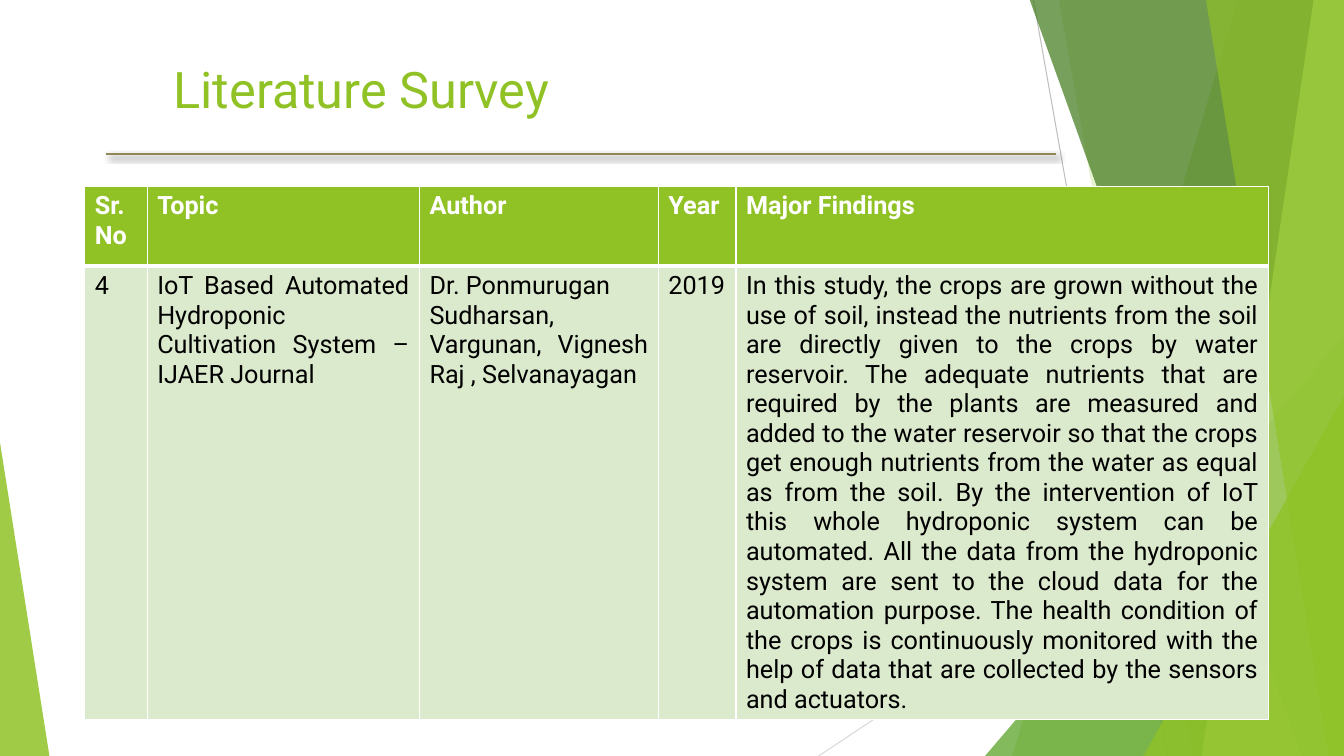
from dataclasses import dataclass

from lxml import etree
from pptx import Presentation
from pptx import util as u
from pptx.dml import color as dml
from pptx.enum import shapes, text
from pptx.oxml import ns

PX = 9144


@dataclass(frozen=True)
class Theme:
    font: str = "Roboto"
    title_size: int = 36
    table_size: int = 18
    lime: str = "90C226"
    leaf: str = "54A021"
    forest: str = "3F7819"
    pale: str = "C0E474"
    mint: str = "DBE9CD"
    khaki: str = "918655"
    grey: str = "BFBFBF"
    light_grey: str = "D9D9D9"
    white: str = "FFFFFF"
    black: str = "000000"


@dataclass(frozen=True)
class Facet:
    points: tuple[tuple[int, int], ...]
    color: str
    opacity: int


@dataclass(frozen=True)
class Wedge:
    left: int
    top: int
    width: int
    height: int
    apex: int
    color: str
    opacity: int


@dataclass(frozen=True)
class Rule:
    start: tuple[int, int]
    end: tuple[int, int]
    color: str
    weight: float
    shadow: bool = False


@dataclass(frozen=True)
class Column:
    width: int
    heading: str
    entry: tuple[str, ...]


THEME = Theme()


def px(value: int) -> u.Emu:
    return u.Emu(value * PX)


def rgb(value: str) -> dml.RGBColor:
    return dml.RGBColor.from_string(value)


def child(parent, tag: str, **attributes):
    return etree.SubElement(parent, ns.qn(tag), {k: str(v) for k, v in attributes.items()})


def write(paragraph, content: str, *, size: int, color: str, bold: bool = False,
          align=text.PP_ALIGN.LEFT) -> None:
    paragraph.alignment = align
    run = paragraph.add_run()
    run.text = content
    run.font.name = THEME.font
    run.font.size = u.Pt(size)
    run.font.bold = bold
    run.font.color.rgb = rgb(color)


def paint(shape, color: str, opacity: int) -> None:
    shape.shadow.inherit = False
    shape.line.fill.background()
    shape.fill.solid()
    shape.fill.fore_color.rgb = rgb(color)
    swatch = shape.fill._xPr.find(".//" + ns.qn("a:srgbClr"))
    child(swatch, "a:alpha", val=opacity * 1000)


def draw_facet(slide, facet: Facet) -> None:
    builder = slide.shapes.build_freeform(*facet.points[0], scale=PX)
    builder.add_line_segments(facet.points[1:], close=True)
    paint(builder.convert_to_shape(), facet.color, facet.opacity)


def draw_wedge(slide, wedge: Wedge) -> None:
    triangle = slide.shapes.add_shape(
        shapes.MSO_SHAPE.ISOSCELES_TRIANGLE,
        px(wedge.left), px(wedge.top), px(wedge.width), px(wedge.height))
    triangle.adjustments[0] = wedge.apex
    paint(triangle, wedge.color, wedge.opacity)


def draw_rule(slide, rule: Rule) -> None:
    ends = [px(value) for value in rule.start + rule.end]
    connector = slide.shapes.add_connector(shapes.MSO_CONNECTOR.STRAIGHT, *ends)
    connector.line.color.rgb = rgb(rule.color)
    connector.line.width = u.Pt(rule.weight)
    effects = child(connector._element.spPr, "a:effectLst")
    if rule.shadow:
        outer = child(effects, "a:outerShdw", blurRad=u.Pt(4), dist=u.Pt(3),
                      dir=45 * 60000, algn="tl", rotWithShape=0)
        child(child(outer, "a:srgbClr", val=THEME.black), "a:alpha", val=40000)


def draw_title(slide, content: str) -> None:
    title = slide.shapes.title
    slide.shapes._spTree.append(title._element)
    title.left, title.top, title.width, title.height = map(px, (162, 53, 1096, 95))
    frame = title.text_frame
    frame.word_wrap = True
    frame.auto_size = text.MSO_AUTO_SIZE.NONE
    frame.vertical_anchor = text.MSO_ANCHOR.TOP
    write(frame.paragraphs[0], content, size=THEME.title_size, color=THEME.lime)


def format_cell(cell, lines: tuple[str, ...], header: bool) -> None:
    properties = cell._tc.get_or_add_tcPr()
    weights = {"L": 1, "R": 1, "T": 1 if header else 3, "B": 3 if header else 1}
    for side, weight in weights.items():
        border = child(properties, f"a:ln{side}", w=u.Pt(weight))
        child(child(border, "a:solidFill"), "a:srgbClr", val=THEME.white)
    cell.fill.solid()
    cell.fill.fore_color.rgb = rgb(THEME.lime if header else THEME.mint)
    for index, line in enumerate(lines):
        frame = cell.text_frame
        paragraph = frame.add_paragraph() if index else frame.paragraphs[0]
        write(paragraph, line, size=THEME.table_size, bold=header,
              color=THEME.white if header else THEME.black,
              align=text.PP_ALIGN.LEFT if header else text.PP_ALIGN.JUSTIFY)


def draw_survey(slide, columns: tuple[Column, ...]) -> None:
    row_heights = (79, 416)
    width = sum(column.width for column in columns)
    survey = slide.shapes.add_table(
        len(row_heights), len(columns), px(84), px(185), px(width), px(sum(row_heights))).table
    for row, height in zip(survey.rows, row_heights):
        row.height = px(height)
    for index, column in enumerate(columns):
        survey.columns[index].width = px(column.width)
        format_cell(survey.cell(0, index), (column.heading,), header=True)
        format_cell(survey.cell(1, index), column.entry, header=False)


GUIDES = (
    Rule((1025, 0), (1158, 750), THEME.grey, 0.75),
    Rule((1333, 403), (812, 750), THEME.light_grey, 0.75),
)
UNDERLINE = Rule((105, 153), (1047, 153), THEME.khaki, 1.5, shadow=True)


def edge_facet(top: int, bottom: int, color: str, opacity: int) -> Facet:
    return Facet(((top, -1), (1333, -1), (1333, 750), (bottom, 750)), color, opacity)


BACKDROP = (
    edge_facet(1228, 1004, THEME.lime, 30),
    edge_facet(1050, 1183, THEME.lime, 20),
    Wedge(977, 333, 356, 417, 1, THEME.leaf, 72),
    edge_facet(1021, 1291, THEME.forest, 70),
    edge_facet(1303, 1192, THEME.pale, 70),
    edge_facet(1196, 1318, THEME.lime, 65),
    Wedge(1134, 393, 199, 357, 1, THEME.lime, 80),
    Wedge(0, 439, 49, 311, 0, THEME.lime, 85),
)
COLUMNS = (
    Column(62, "Sr. No", ("4",)),
    Column(270, "Topic", (
        "IoT Based Automated Hydroponic Cultivation System – IJAER Journal",)),
    Column(237, "Author", (
        "Dr. Ponmurugan", "Sudharsan, Vargunan, Vignesh Raj , Selvanayagan")),
    Column(77, "Year", ("2019",)),
    Column(528, "Major Findings", (
        "In this study, the crops are grown without the use of soil, instead the nutrients "
        "from the soil are directly given to the crops by water reservoir. The adequate "
        "nutrients that are required by the plants are measured and added to the water "
        "reservoir so that the crops get enough nutrients from the water as equal as from "
        "the soil. By the intervention of IoT this whole hydroponic system can be automated. "
        "All the data from the hydroponic system are sent to the cloud data for the "
        "automation purpose. The health condition of the crops is continuously monitored "
        "with the help of data that are collected by the sensors and actuators.",)),
)


def main() -> None:
    deck = Presentation()
    deck.slide_width, deck.slide_height = px(1333), px(750)
    slide = deck.slides.add_slide(deck.slide_layouts[5])
    for guide in GUIDES:
        draw_rule(slide, guide)
    for part in BACKDROP:
        if isinstance(part, Facet):
            draw_facet(slide, part)
        else:
            draw_wedge(slide, part)
    draw_title(slide, "Literature Survey")
    draw_rule(slide, UNDERLINE)
    draw_survey(slide, COLUMNS)
    deck.save("out.pptx")


if __name__ == "__main__":
    main()
